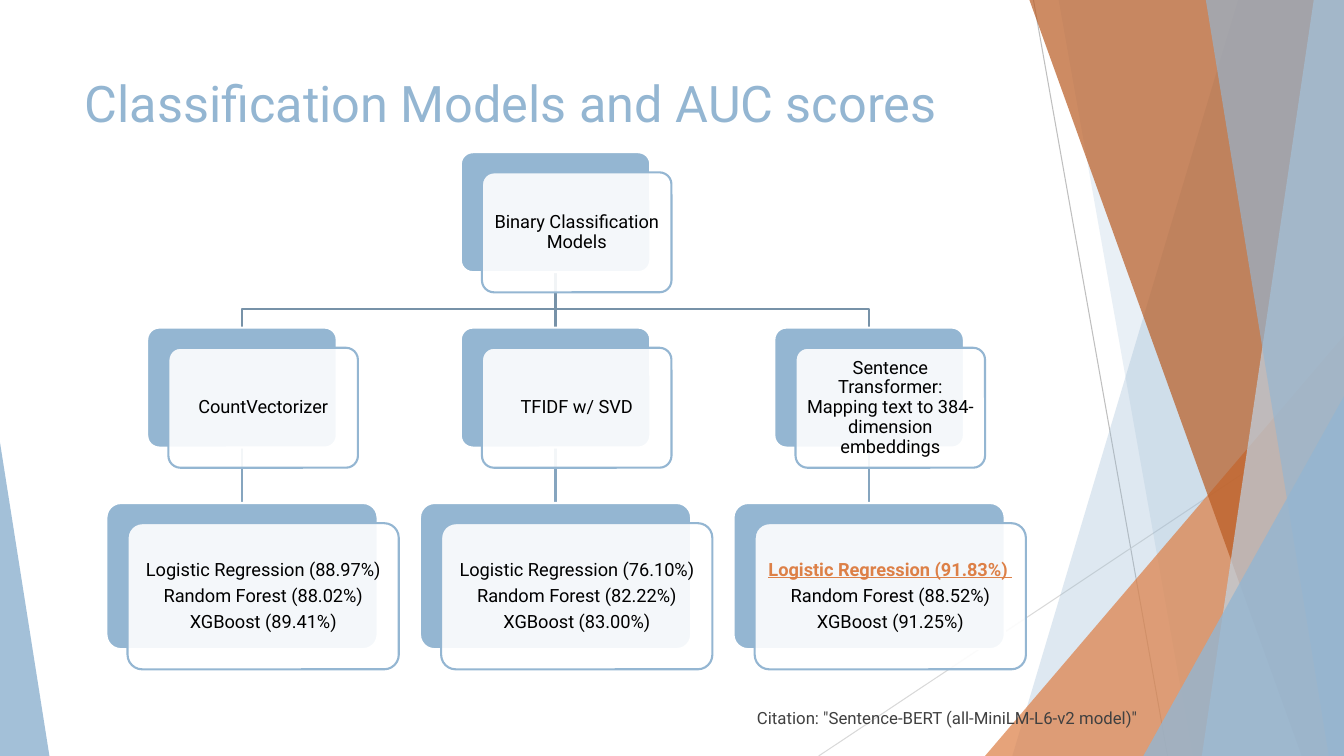
from lxml import etree
from pptx import Presentation, util as u
from pptx.dml.color import RGBColor
from pptx.enum import shapes, text
from pptx.oxml.ns import qn

BLUE, ORANGE, WHITE, BLACK = "94B6D2", "DD8047", "FFFFFF", "000000"
ELBOW_LINE, DROP_LINE = "7792A8", "86A5BF"
rgb = RGBColor.from_string


def paint(shape, fill=None, opacity=100, line=None, width=1.5):
    """Give a shape or connector its fill, opacity and outline, without a shadow."""
    if shape.shape_type == shapes.MSO_SHAPE_TYPE.LINE:
        etree.SubElement(shape.element.spPr, qn("a:effectLst"))
    else:
        shape.shadow.inherit = False
        if fill:
            shape.fill.solid()
            shape.fill.fore_color.rgb = rgb(fill)
            color = shape.element.spPr.find(qn("a:solidFill"))[0]
            etree.SubElement(color, qn("a:alpha"), val=str(opacity * 1000))
        else:
            shape.fill.background()
    if line:
        shape.line.color.rgb = rgb(line)
        shape.line.width = u.Pt(width)
    else:
        shape.line.fill.background()


def write(shape, lines, size, color, frame_format, paragraph_format):
    """Write one paragraph per line and return the paragraphs."""
    frame = shape.text_frame
    frame.text = "\n".join(lines)
    for name, value in frame_format.items():
        setattr(frame, name, value)
    for paragraph in frame.paragraphs:
        for name, value in paragraph_format.items():
            setattr(paragraph, name, value)
        font = paragraph.runs[0].font
        font.name, font.size, font.color.rgb = "Roboto", u.Pt(size), rgb(color)
    return frame.paragraphs


presentation = Presentation()
presentation.slide_width, presentation.slide_height = u.Inches(13.33), u.Inches(7.5)
slide = presentation.slides.add_slide(presentation.slide_layouts[5])

# Thin background lines
for start_x, start_y, end_x, color in [(10.25, 0, 11.58, "BFBFBF"), (13.33, 4.03, 8.12, "D9D9D9")]:
    ray = slide.shapes.add_connector(
        shapes.MSO_CONNECTOR.STRAIGHT,
        u.Inches(start_x), u.Inches(start_y), u.Inches(end_x), u.Inches(7.5))
    paint(ray, line=color, width=0.75)

# Side panels: full-height bands give top and bottom x of their left edge,
# triangles give left, top, width and apex position
panels = [
    ((12.28, 10.04), BLUE, 30),
    ((10.5, 11.83), BLUE, 20),
    ((9.77, 3.33, 3.56, 1), ORANGE, 72),
    ((10.21, 12.91), "B95B22", 70),
    ((13.03, 11.92), "BFD3E4", 70),
    ((11.96, 13.18), BLUE, 65),
    ((11.34, 3.93, 1.99, 1), BLUE, 80),
    ((0, 4.39, 0.49, 0), BLUE, 85),
]
for geometry, color, opacity in panels:
    if len(geometry) == 2:
        top_x, bottom_x = geometry
        corners = [(13.33, 0), (13.33, 7.5), (bottom_x, 7.5)]
        builder = slide.shapes.build_freeform(u.Inches(top_x), 0)
        builder.add_line_segments([(u.Inches(x), u.Inches(y)) for x, y in corners], close=True)
        panel = builder.convert_to_shape()
    else:
        left, top, width, apex = geometry
        panel = slide.shapes.add_shape(
            shapes.MSO_SHAPE.ISOSCELES_TRIANGLE,
            u.Inches(left), u.Inches(top), u.Inches(width), u.Inches(7.5 - top))
        panel.adjustments[0] = apex
    paint(panel, color, opacity)

# Title
title = slide.shapes.title
title.left, title.top, title.width, title.height = (u.Inches(n) for n in (0.74, 0.67, 9.4, 1.44))
write(title, ["Classification Models and AUC scores"], 36, BLUE,
      {"vertical_anchor": text.MSO_ANCHOR.TOP, "auto_size": text.MSO_AUTO_SIZE.NONE},
      {"alignment": text.PP_ALIGN.LEFT})

# Tree: centre x, top and size of each back card, then its lines
centers = [2.4, 5.51, 8.62]
methods = [
    "CountVectorizer",
    "TFIDF w/ SVD",
    "Sentence Transformer: Mapping text to 384-dimension embeddings",
]
scores = [
    ["Logistic Regression (88.97%)", "Random Forest (88.02%)", "XGBoost (89.41%)"],
    ["Logistic Regression (76.10%)", "Random Forest (82.22%)", "XGBoost (83.00%)"],
    ["Logistic Regression (91.83%) ", "Random Forest (88.52%)", "XGBoost (91.25%)"],
]
nodes = [(centers[1], 1.51, 1.88, 1.19, ["Binary Classification Models"])]
for center, method, results in zip(centers, methods, scores):
    nodes.append((center, 3.25, 1.88, 1.19, [method]))
    nodes.append((center, 4.99, 2.69, 1.45, results))

card_frame = {"word_wrap": True, "vertical_anchor": text.MSO_ANCHOR.MIDDLE}
card_frame.update({f"margin_{side}": u.Inches(0.05) for side in ("left", "top", "right", "bottom")})
card_paragraph = {"alignment": text.PP_ALIGN.CENTER, "line_spacing": 0.9, "space_after": u.Pt(4.55)}

back_cards = []
for center, top, width, height, lines in nodes:
    for offset_x, offset_y, fill, opacity, line in [(0, 0, BLUE, 100, WHITE), (0.21, 0.2, WHITE, 90, BLUE)]:
        card = slide.shapes.add_shape(
            shapes.MSO_SHAPE.ROUNDED_RECTANGLE,
            u.Inches(center - width / 2 + offset_x), u.Inches(top + offset_y),
            u.Inches(width), u.Inches(height))
        card.adjustments[0] = 0.1
        paint(card, fill, opacity, line)
        if offset_x == 0:
            back_cards.append(card)
    paragraphs = write(card, lines, 13, BLACK, card_frame, card_paragraph)

# Best score stands out
best_font = paragraphs[0].runs[0].font
best_font.bold = best_font.underline = True
best_font.color.rgb = rgb(ORANGE)

# Branches, placed behind the cards
root_card, method_cards, score_cards = back_cards[0], back_cards[1::2], back_cards[2::2]
links = [(root_card, method_cards[1], ELBOW_LINE)]
links += [(upper, lower, DROP_LINE) for upper, lower in zip(method_cards, score_cards)]
for upper, lower, color in links:
    branch = slide.shapes.add_connector(shapes.MSO_CONNECTOR.STRAIGHT, 0, 0, 0, 0)
    branch.begin_connect(upper, 2)
    branch.end_connect(lower, 0)
    paint(branch, line=color)
    root_card.element.addprevious(branch.element)
for center in (centers[0], centers[2]):
    builder = slide.shapes.build_freeform(u.Inches(centers[1]), u.Inches(2.7))
    bends = [(centers[1], 3.07), (center, 3.07), (center, 3.25)]
    builder.add_line_segments([(u.Inches(x), u.Inches(y)) for x, y in bends], close=False)
    elbow = builder.convert_to_shape()
    paint(elbow, line=ELBOW_LINE)
    root_card.element.addprevious(elbow.element)

# Citation
citation = slide.shapes.add_textbox(u.Inches(7.41), u.Inches(6.97), u.Inches(4.1), u.Inches(0.3))
write(citation, ['Citation: "Sentence-BERT (all-MiniLM-L6-v2 model)"'], 12, "404040",
      {"word_wrap": True, "auto_size": text.MSO_AUTO_SIZE.SHAPE_TO_FIT_TEXT}, {})

presentation.save("out.pptx")
